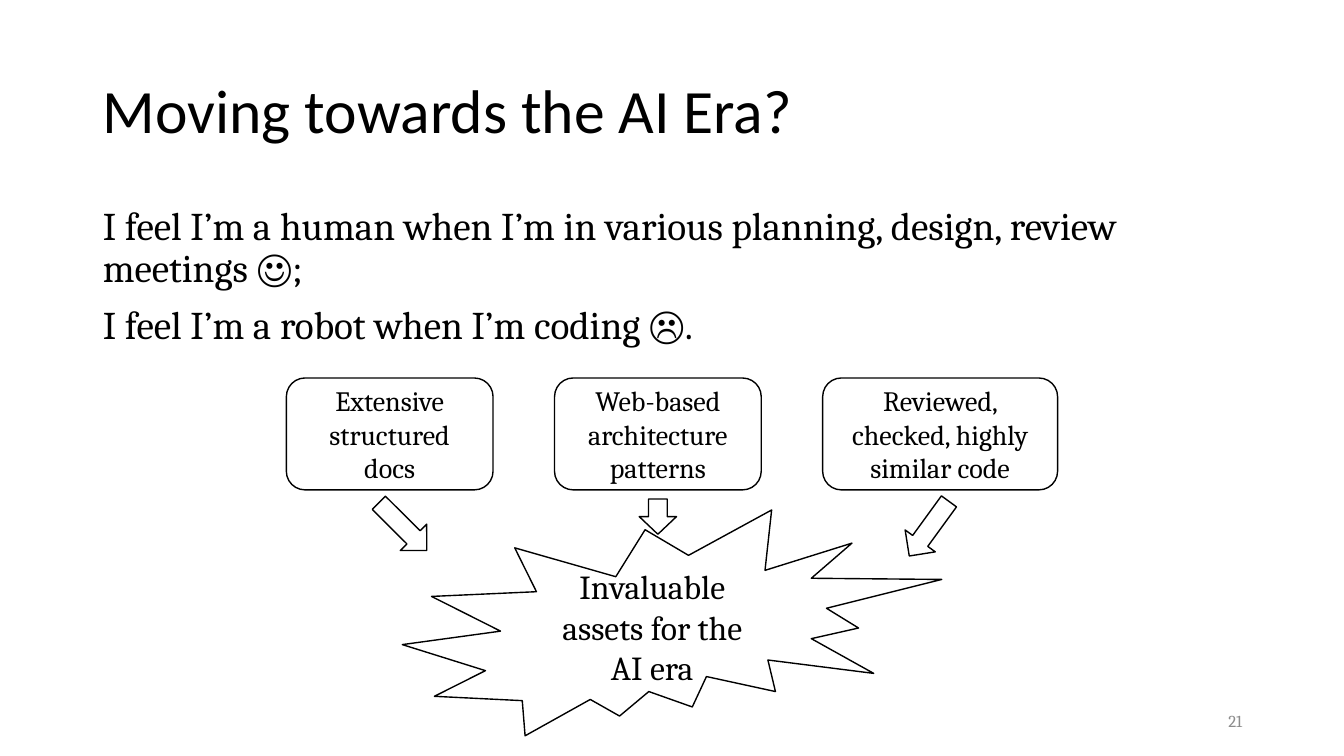
"""Build the slide on moving towards the AI era."""
from lxml import etree
from pptx import Presentation
from pptx.dml.color import RGBColor
from pptx.enum import shapes, text
from pptx.oxml import ns
from pptx.util import Inches, Pt

COLORS = {"ink": "000000", "paper": "FFFFFF", "number": "8C8C8C"}
SHAPE = shapes.MSO_SHAPE
ALIGN = text.PP_ALIGN


def write(paragraph, words, size, font="Cambria", color="ink", align=ALIGN.LEFT):
    paragraph.alignment = align
    run = paragraph.add_run()
    run.text = words
    run.font.size = Pt(size)
    run.font.name = font
    run.font.color.rgb = RGBColor.from_string(COLORS[color])


def add_outlined(kind, left, top, width, height, words="", size=20, rotation=0):
    shape = slide.shapes.add_shape(kind, Inches(left), Inches(top), Inches(width), Inches(height))
    shape.shadow.inherit = False
    shape.rotation = rotation
    shape.fill.solid()
    shape.fill.fore_color.rgb = RGBColor.from_string(COLORS["paper"])
    shape.line.color.rgb = RGBColor.from_string(COLORS["ink"])
    shape.line.width = Pt(1)
    if words:
        frame = shape.text_frame
        frame.word_wrap = True
        frame.vertical_anchor = text.MSO_ANCHOR.MIDDLE
        write(frame.paragraphs[0], words, size, align=ALIGN.CENTER)


presentation = Presentation()
presentation.slide_width = Inches(13.33)
presentation.slide_height = Inches(7.5)
slide = presentation.slides.add_slide(presentation.slide_layouts[1])

title = slide.shapes.title
body = slide.placeholders[1]
for placeholder, top, height in [(title, 0.4, 1.45), (body, 2, 4.76)]:
    placeholder.left, placeholder.top = Inches(0.92), Inches(top)
    placeholder.width, placeholder.height = Inches(11.5), Inches(height)
    placeholder.text_frame.auto_size = text.MSO_AUTO_SIZE.NONE
    placeholder.text_frame.word_wrap = True

title.text_frame.vertical_anchor = text.MSO_ANCHOR.MIDDLE
heading = title.text_frame.paragraphs[0]
heading.line_spacing = 0.9
write(heading, "Moving towards the AI Era?", 44, "Calibri")

feelings = [
    "I feel I’m a human when I’m in various planning, design, review meetings ☺;",
    "I feel I’m a robot when I’m coding ☹.",
]
for index, feeling in enumerate(feelings):
    paragraph = body.text_frame.add_paragraph() if index else body.text_frame.paragraphs[0]
    paragraph.line_spacing = 0.9
    paragraph.space_before = Pt(10)
    write(paragraph, feeling, 28)
    properties = paragraph._p.get_or_add_pPr()
    properties.set("marL", "0")
    properties.set("indent", "0")
    etree.SubElement(properties, ns.qn("a:buNone"))

number_box = slide.shapes.add_textbox(Inches(9.42), Inches(6.95), Inches(3), Inches(0.4))
number_box.text_frame.word_wrap = True
number_box.text_frame.vertical_anchor = text.MSO_ANCHOR.MIDDLE
write(number_box.text_frame.paragraphs[0], "21", 12, color="number", align=ALIGN.RIGHT)

assets = [
    ("Extensive structured docs", 2.05),
    ("Web-based architecture patterns", 2.05),
    ("Reviewed, checked, highly similar code", 2.33),
]
for column, (asset, width) in enumerate(assets):
    add_outlined(SHAPE.ROUNDED_RECTANGLE, 2.84 + 2.66 * column, 3.75, width, 1.11, asset)

add_outlined(SHAPE.EXPLOSION2, 3.99, 5.06, 5.35, 2.24, "Invaluable assets for the AI era", 24)

arrows = [(3.66, 5.04, 0.67, 44.9), (6.35, 4.94, 0.35, 90), (8.88, 5.06, 0.67, 126)]
for left, top, length, rotation in arrows:
    add_outlined(SHAPE.RIGHT_ARROW, left, top, length, 0.37, rotation=rotation)

presentation.save("out.pptx")
